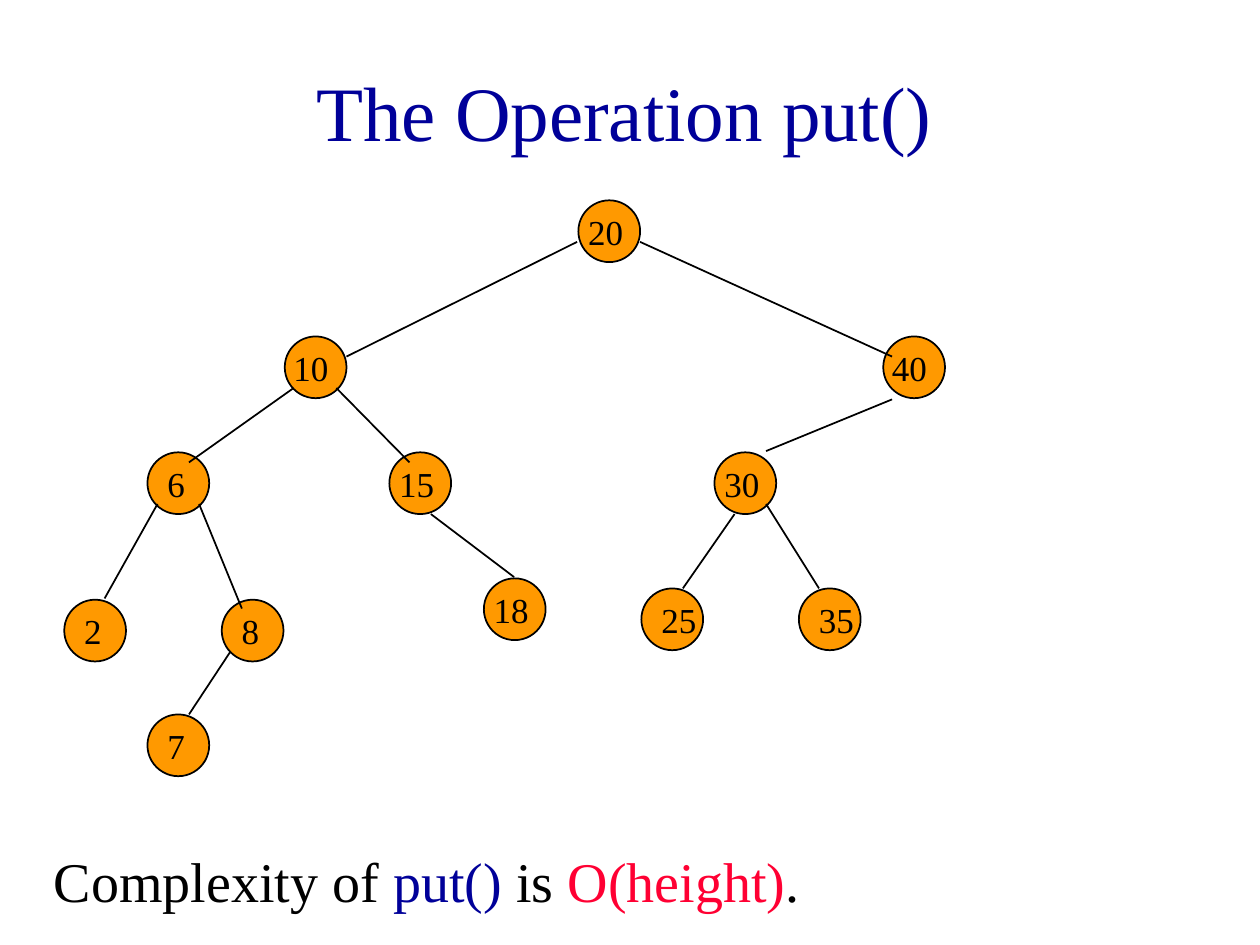
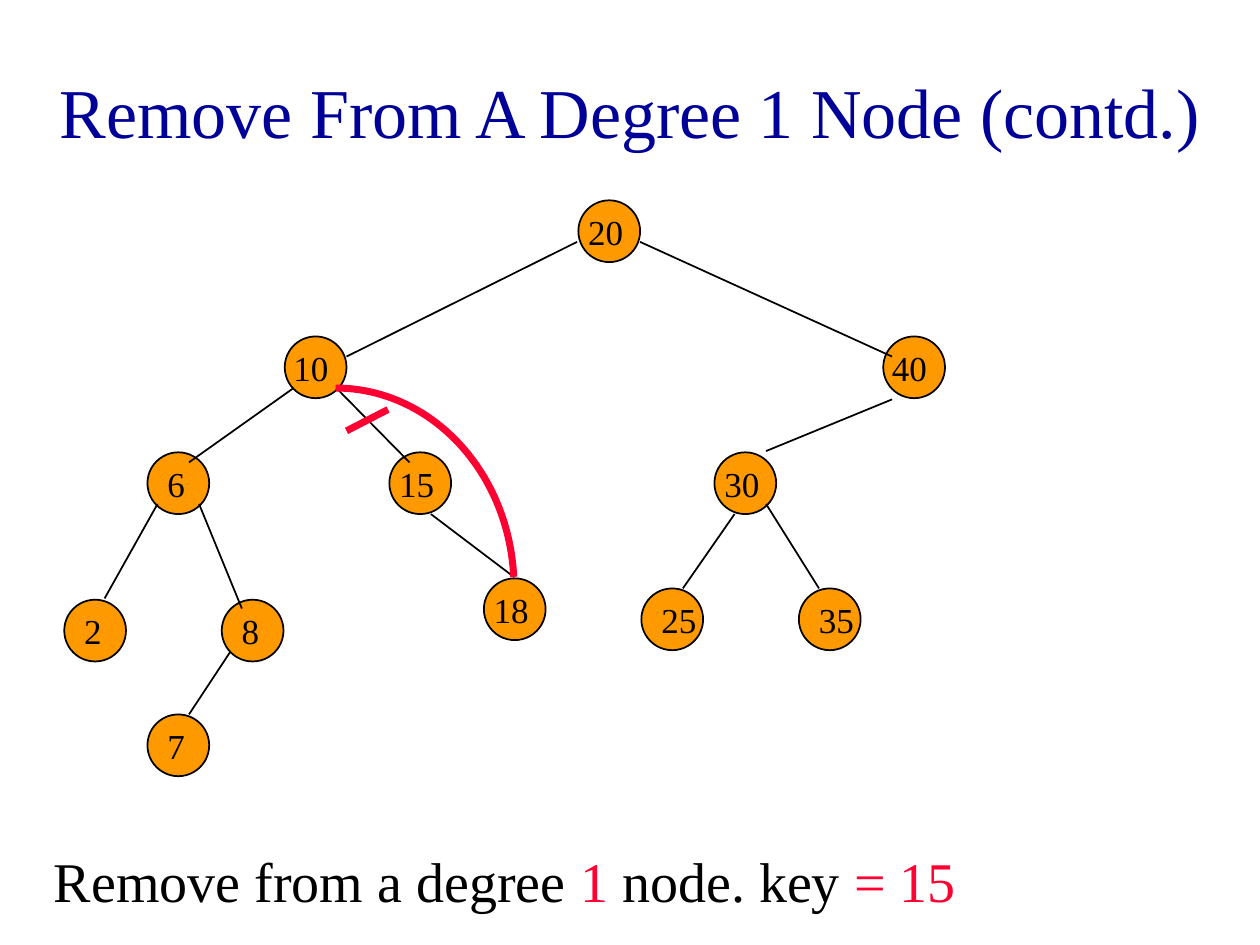
"""Build two slides about put and remove in a binary search tree."""
import dataclasses

import pptx
import pptx.dml.color
import pptx.enum.shapes
import pptx.enum.text
import pptx.oxml.ns
import pptx.util
from lxml import etree

Inches = pptx.util.Inches
Pt = pptx.util.Pt
Shape = pptx.enum.shapes.MSO_SHAPE
Fit = pptx.enum.text.MSO_AUTO_SIZE


@dataclasses.dataclass(frozen=True)
class Theme:
    font: str = "Times New Roman"
    ink: str = "000000"
    blue: str = "000099"
    red: str = "FF0033"
    node: str = "FF9900"
    key: int = 20
    note: int = 32
    thin: float = 1
    bold: float = 4
    size: float = 0.49


ONE, TWO, LEAF = 0.06, -0.02, 0.06
NODES = [
    ("20", 4.59, 1.59, TWO),
    ("10", 2.26, 2.67, -0.03),
    ("40", 7.01, 2.67, -0.03),
    ("6", 1.17, 3.59, ONE),
    ("15", 3.09, 3.59, TWO),
    ("30", 5.67, 3.59, TWO),
    ("2", 0.51, 4.76, ONE),
    ("8", 1.76, 4.76, ONE),
    ("18", 3.84, 4.59, TWO),
    ("25", 5.09, 4.67, LEAF),
    ("35", 6.34, 4.67, LEAF),
    ("7", 1.17, 5.67, ONE),
]
EDGES = [
    (4.58, 1.92, 2.75, 2.83),
    (5.08, 1.92, 7.08, 2.83),
    (2.33, 3.08, 1.5, 3.67),
    (2.67, 3.08, 3.25, 3.67),
    (7.08, 3.17, 6.08, 3.58),
    (1.25, 4, 0.83, 4.75),
    (1.58, 4, 1.92, 4.83),
    (3.42, 4.08, 4.08, 4.58),
    (5.83, 4.08, 5.42, 4.67),
    (6.08, 4, 6.5, 4.67),
    (1.83, 5.17, 1.5, 5.67),
]


class Deck:
    def __init__(self, theme):
        self.theme = theme
        self.prs = pptx.Presentation()
        self.prs.slide_width = Inches(10)
        self.prs.slide_height = Inches(7.5)
        self.slide = None

    def style(self, run, size, color):
        run.font.name = self.theme.font
        run.font.size = Pt(size)
        run.font.color.rgb = pptx.dml.color.RGBColor.from_string(color)

    def stroke(self, line, color, width):
        line.color.rgb = pptx.dml.color.RGBColor.from_string(color)
        line.width = Pt(width)

    def start(self, text, left, width, size):
        self.slide = self.prs.slides.add_slide(self.prs.slide_layouts[5])
        title = self.slide.shapes.title
        title.left, title.top = Inches(left), Inches(0.25)
        title.width, title.height = Inches(width), Inches(1.25)
        frame = title.text_frame
        frame.text = text
        frame.auto_size = Fit.NONE
        frame.vertical_anchor = pptx.enum.text.MSO_ANCHOR.MIDDLE
        frame.paragraphs[0].alignment = pptx.enum.text.PP_ALIGN.CENTER
        self.style(frame.paragraphs[0].runs[0], size, self.theme.blue)

    def text(self, parts, left, top, width, height, size, wrap):
        box = self.slide.shapes.add_textbox(
            Inches(left), Inches(top), Inches(width), Inches(height))
        frame = box.text_frame
        frame.word_wrap = wrap
        frame.auto_size = Fit.SHAPE_TO_FIT_TEXT
        for words, color in parts:
            run = frame.paragraphs[0].add_run()
            run.text = words
            self.style(run, size, color)

    def note(self, *parts):
        self.text(parts, 0.33, 6.67, 9, 0.63, self.theme.note, True)

    def line(self, x1, y1, x2, y2, color, width):
        link = self.slide.shapes.add_connector(
            pptx.enum.shapes.MSO_CONNECTOR.STRAIGHT,
            Inches(x1), Inches(y1), Inches(x2), Inches(y2))
        self.stroke(link.line, color, width)
        etree.SubElement(link._element.spPr, pptx.oxml.ns.qn("a:effectLst"))

    def node(self, left, top):
        size = Inches(self.theme.size)
        ball = self.slide.shapes.add_shape(
            Shape.OVAL, Inches(left), Inches(top), size, size)
        ball.shadow.inherit = False
        ball.fill.solid()
        ball.fill.fore_color.rgb = pptx.dml.color.RGBColor.from_string(self.theme.node)
        self.stroke(ball.line, self.theme.ink, self.theme.thin)

    def arc(self, left, top, width, height, end):
        curve = self.slide.shapes.add_shape(
            Shape.ARC, Inches(left), Inches(top), Inches(width), Inches(height))
        curve.adjustments[0] = 270 * 0.6
        curve.adjustments[1] = end * 0.6
        curve.shadow.inherit = False
        curve.fill.background()
        self.stroke(curve.line, self.theme.red, self.theme.bold)

    def tree(self):
        for key, left, top, shift in NODES:
            self.node(left, top)
        for edge in EDGES:
            self.line(*edge, self.theme.ink, self.theme.thin)
        for key, left, top, shift in NODES:
            width = 0.2 + 0.14 * len(key)
            self.text([(key, self.theme.ink)], left + shift, top + 0.03,
                      width, 0.43, self.theme.key, False)


def main():
    theme = Theme()
    deck = Deck(theme)

    deck.start("The Operation put()", 0.08, 9.75, 44)
    deck.tree()
    deck.note(("Complexity of ", theme.ink), ("put() ", theme.blue),
              ("is ", theme.ink), ("O(height)", theme.red), (".", theme.ink))

    deck.start("Remove From A Degree 1 Node (contd.)", 0.25, 9.5, 40)
    deck.tree()
    deck.arc(1.25, 3.08, 2.83, 3.17, 356.5)
    deck.line(3.08, 3.25, 2.75, 3.42, theme.red, theme.bold)
    deck.note(("Remove from a degree ", theme.ink), ("1 ", theme.red),
              ("node. key ", theme.ink), ("= 15", theme.red))

    deck.prs.save("out.pptx")


if __name__ == "__main__":
    main()
